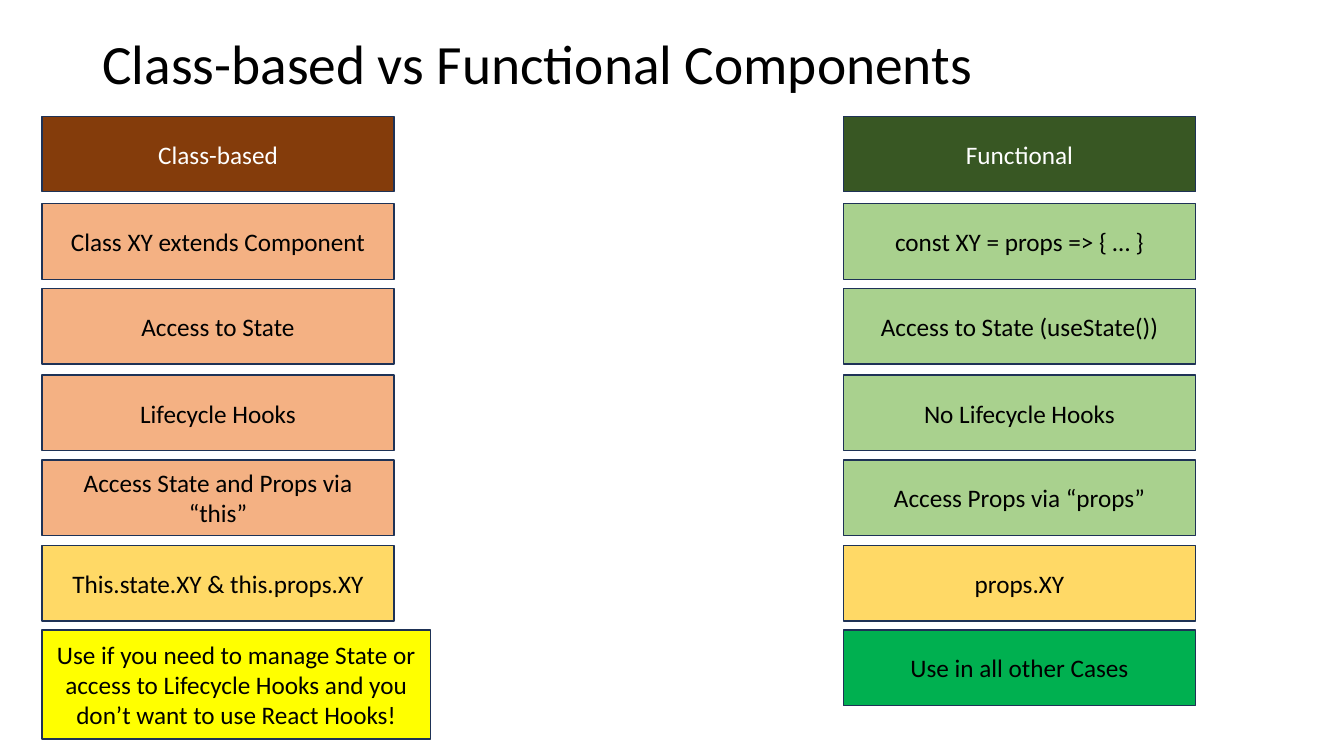
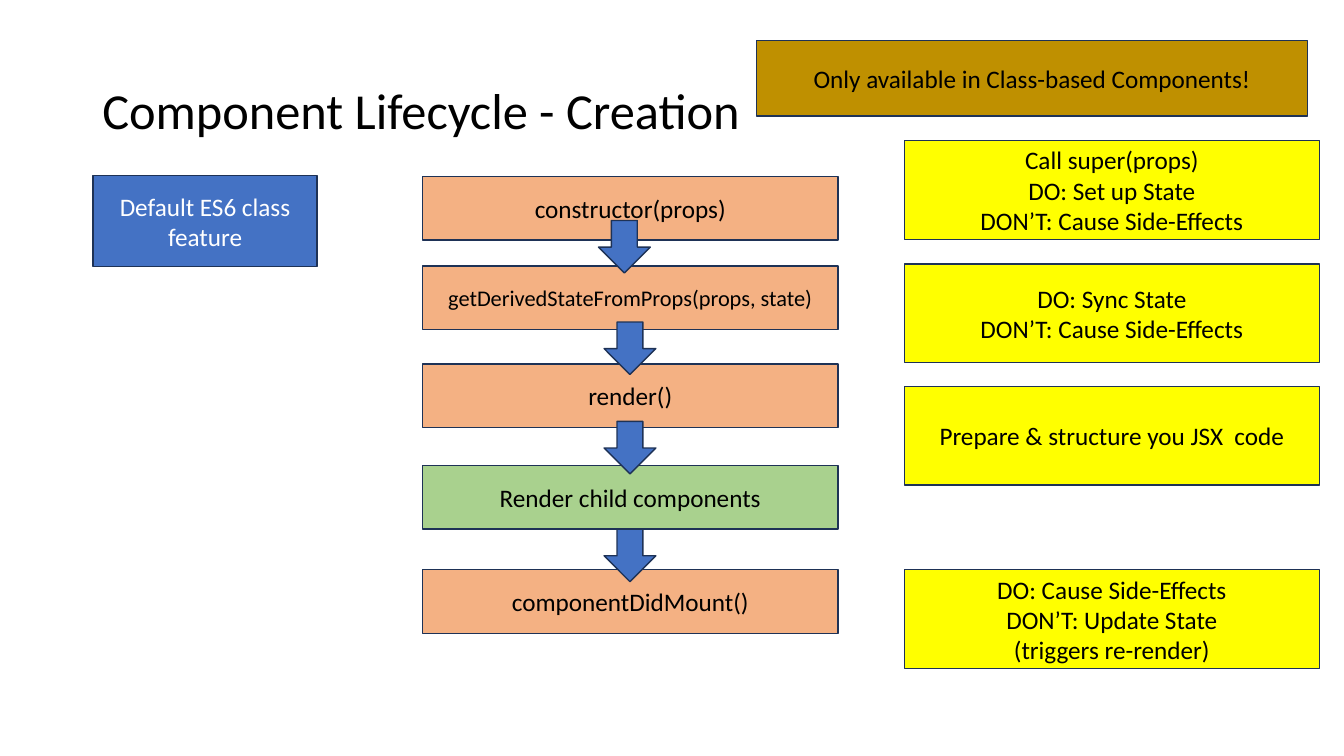
import pptx
import pptx.dml.color
import pptx.enum.shapes
import pptx.enum.text
import pptx.util

Pt = pptx.util.Pt
Kind = pptx.enum.shapes.MSO_SHAPE
Align = pptx.enum.text.PP_ALIGN

black, white, navy = "000000", "FFFFFF", "1E3256"
brown, forest = "843C0B", "385723"
peach, green, sand = "F4B183", "A9D18E", "FFD966"
yellow, lime, gold, blue = "FFFF00", "00B050", "BF9000", "4472C4"

frame_look = {
    "word_wrap": True,
    "vertical_anchor": pptx.enum.text.MSO_ANCHOR.MIDDLE,
}


def paint(fill, hue):
    fill.solid()
    fill.fore_color.rgb = pptx.dml.color.RGBColor.from_string(hue)


def write(shape, text, size, ink, para_look):
    frame = shape.text_frame
    frame.text = text
    for key, value in frame_look.items():
        setattr(frame, key, value)
    for para in frame.paragraphs:
        for key, value in para_look.items():
            setattr(para, key, value)
        for key, value in {"name": "Calibri", "size": Pt(size)}.items():
            setattr(para.font, key, value)
        paint(para.font.fill, ink)


deck = pptx.Presentation()
deck.slide_width, deck.slide_height = Pt(960), Pt(540)

titles = [
    ("Class-based vs Functional Components", 39.6, 38),
    ("Component Lifecycle - Creation", 36, 104.4),
]
slides = []
for text, size, high in titles:
    slide = deck.slides.add_slide(deck.slide_layouts[6])
    title = slide.shapes.add_textbox(Pt(66), Pt(28.8), Pt(828), Pt(high))
    write(title, text, size, black, {"line_spacing": 0.9})
    slides.append(slide)
versus, cycle = slides

rows = [
    (83, "Class-based", brown, "Functional", forest),
    (145.5, "Class XY extends Component", peach,
     "const XY = props => { … }", green),
    (206, "Access to State", peach, "Access to State (useState())", green),
    (268, "Lifecycle Hooks", peach, "No Lifecycle Hooks", green),
    (328.5, "Access State and Props via “this”", peach,
     "Access Props via “props”", green),
    (389.5, "This.state.XY & this.props.XY", sand, "props.XY", sand),
]
boxes = []
for top, left_text, left_hue, right_text, right_hue in rows:
    ink = white if left_hue == brown else black
    boxes += [
        (versus, 30, top, 251.5, 54, left_hue, left_text, 18, ink),
        (versus, 602.5, top, 251.5, 54, right_hue, right_text, 18, ink),
    ]
boxes += [
    (versus, 30, 450, 277.5, 78, yellow,
     "Use if you need to manage State or access to Lifecycle Hooks "
     "and you don’t want to use React Hooks!", 18, black),
    (versus, 602.5, 450, 251.5, 54, lime, "Use in all other Cases", 18, black),
    (cycle, 540.5, 29, 393.5, 54, gold,
     "Only available in Class-based Components!", 18, black),
    (cycle, 66.5, 125.5, 160, 65, blue, "Default ES6 class feature", 18, white),
]

steps = [
    (126, "constructor(props)", 18, peach),
    (190, "getDerivedStateFromProps(props, state)", 16, peach),
    (260, "render()", 18, peach),
    (332.5, "Render child components", 18, green),
    (407, "componentDidMount()", 18, peach),
]
for top, text, size, hue in steps:
    boxes.append((cycle, 302, top, 296.5, 45.5, hue, text, size, black))

notes = [
    (100.5, "Call super(props)\nDO: Set up State\nDON’T: Cause Side-Effects"),
    (188.5, "DO: Sync State\nDON’T: Cause Side-Effects"),
    (276, "Prepare & structure you JSX  code"),
    (407, "DO: Cause Side-Effects\nDON’T: Update State\n(triggers re-render)"),
]
for top, text in notes:
    boxes.append((cycle, 646, top, 296.5, 70.5, yellow, text, 18, black))

for left, top in [(427.5, 157.5), (431.5, 230), (431.5, 301), (431.5, 378)]:
    boxes.append((cycle, left, top, 37, 37.5, blue, "", 18, white))

for slide, left, top, wide, high, hue, text, size, ink in boxes:
    kind = Kind.RECTANGLE if text else Kind.DOWN_ARROW
    box = slide.shapes.add_shape(kind, Pt(left), Pt(top), Pt(wide), Pt(high))
    box.shadow.inherit = False
    paint(box.fill, hue)
    paint(box.line.fill, navy)
    box.line.width = Pt(1)
    if text:
        write(box, text, size, ink, {"alignment": Align.CENTER})

deck.save("out.pptx")
